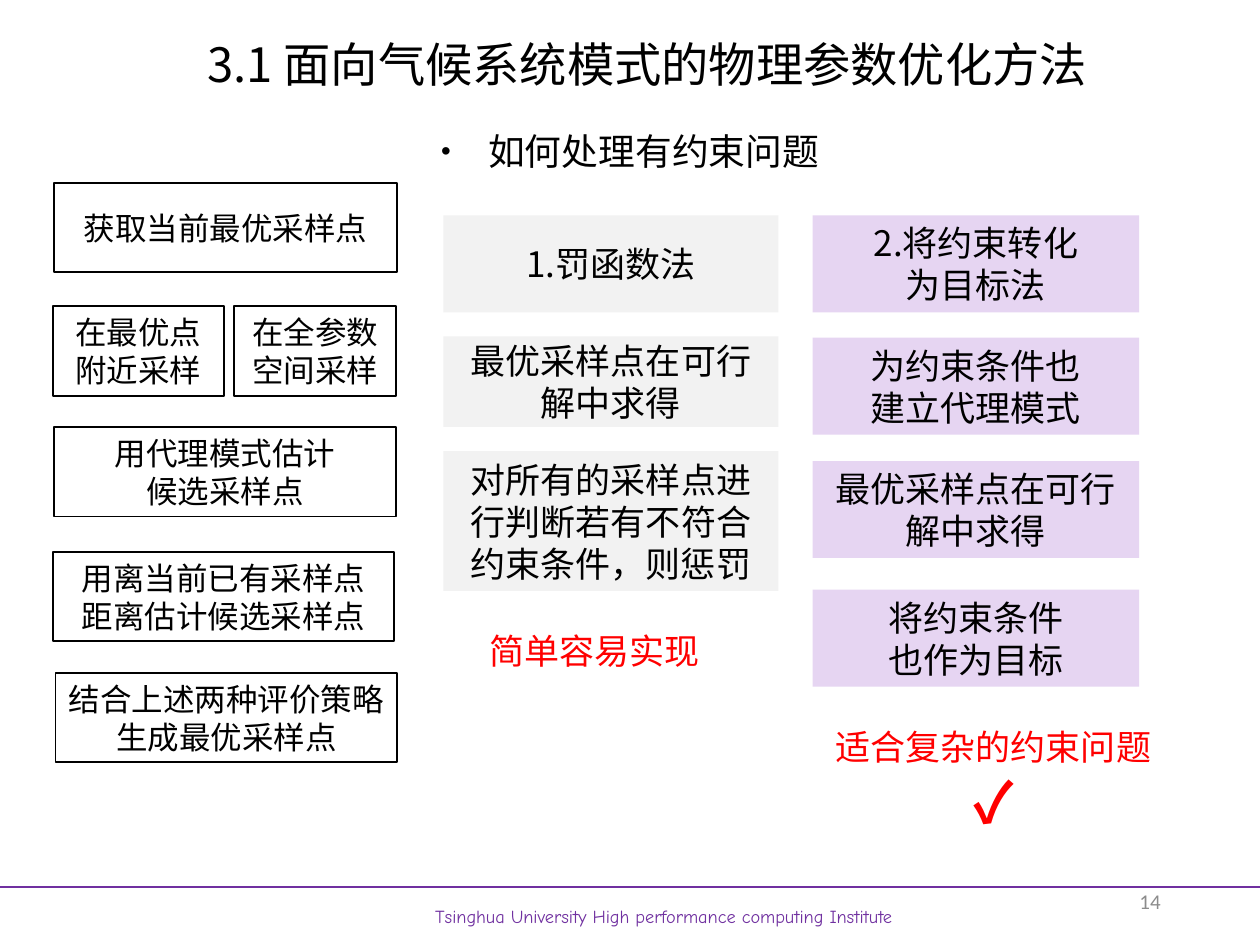
from lxml.etree import SubElement
from pptx import Presentation
from pptx.dml.color import RGBColor
from pptx.enum.shapes import MSO_CONNECTOR, MSO_SHAPE
from pptx.enum.text import MSO_ANCHOR, MSO_AUTO_SIZE, PP_ALIGN
from pptx.oxml.ns import qn
from pptx.util import Pt

CJK = "Noto Sans CJK JP"
BLACK, RED, PURPLE = "000000", "FF0000", "7030A0"
GREY_FILL, LILAC_FILL = "F2F2F2", "E6D5F2"

FLOW_STEPS = [
    (31, 104.4, 195.8, "获取当前最优采样点"),
    (30.2, 175, 97.9, "在最优点附近采样"),
    (133.9, 175, 92.2, "在全参数空间采样"),
    (31, 244.1, 195.1, "用代理模式估计\n候选采样点"),
    (30.2, 315.4, 195.1, "用离当前已有采样点\n距离估计候选采样点"),
    (31.7, 384.5, 195.4, "结合上述两种评价策略生成最优采样点"),
]
PENALTY_STEPS = [
    (123.1, 55.4, "1.罚函数法"),
    (192.2, 51.8, "最优采样点在可行解中求得"),
    (257.8, 79.9, "对所有的采样点进行判断若有不符合约束条件，则惩罚"),
]
OBJECTIVE_STEPS = [
    (123.1, 55.4, "2.将约束转化\n为目标法"),
    (193, 55.4, "为约束条件也\n建立代理模式"),
    (263.5, 55.4, "最优采样点在可行解中求得"),
    (337, 55.4, "将约束条件\n也作为目标"),
]


def colour(hex_value):
    return RGBColor.from_string(hex_value)


def apply(target, formats):
    for name, value in formats.items():
        setattr(target, name, value)


def place(shape, left, top, width, height):
    apply(shape, {"left": Pt(left), "top": Pt(top), "width": Pt(width), "height": Pt(height)})


def style_run(run, size, hex_value, face=CJK, bold=False):
    apply(run.font, {"size": Pt(size), "name": face, "bold": bold})
    run.font.color.rgb = colour(hex_value)
    SubElement(run.font._element, qn("a:ea"), typeface=CJK)


def write(frame, text, size, hex_value, face=CJK, align=PP_ALIGN.CENTER, **frame_formats):
    frame.text = text
    apply(frame, {"word_wrap": True, **frame_formats})
    for paragraph in frame.paragraphs:
        apply(paragraph, {"alignment": align, "space_before": Pt(0)})
        for run in paragraph.runs:
            style_run(run, size, hex_value, face)


def add_step(slide, bounds, text, size, fill=None):
    step = slide.shapes.add_shape(MSO_SHAPE.RECTANGLE, *map(Pt, bounds))
    step.shadow.inherit = False
    if fill:
        step.fill.solid()
        step.fill.fore_color.rgb = colour(fill)
        step.line.fill.background()
    else:
        step.fill.background()
        step.line.color.rgb = colour(BLACK)
        step.line.width = Pt(1)
    write(step.text_frame, text, size, BLACK, vertical_anchor=MSO_ANCHOR.MIDDLE)


def add_label(slide, bounds, text, size, hex_value, **formats):
    label = slide.shapes.add_textbox(*map(Pt, bounds))
    write(label.text_frame, text, size, hex_value, **formats)
    return label


def fill_title(title):
    place(title, 106.6, 17.3, 526.3, 47.5)
    write(title.text_frame, "3.1 面向气候系统模式的物理参数优化方法", 27, BLACK,
          vertical_anchor=MSO_ANCHOR.TOP, auto_size=MSO_AUTO_SIZE.NONE,
          margin_left=Pt(5), margin_right=Pt(5), margin_top=Pt(3), margin_bottom=Pt(3))


def fill_question(body):
    place(body, 244.8, 64.8, 537.8, 71.3)
    write(body.text_frame, "如何处理有约束问题", 21, BLACK, face="Cambria",
          align=PP_ALIGN.LEFT, auto_size=MSO_AUTO_SIZE.NONE)
    paragraph = body.text_frame.paragraphs[0]
    paragraph.line_spacing = 1.2
    properties = paragraph._p.get_or_add_pPr()
    properties.set("marL", str(Pt(27)))
    properties.set("indent", str(Pt(-27)))
    SubElement(properties, qn("a:buSzPct"), val="75000")
    SubElement(properties, qn("a:buFont"), typeface="Arial")
    SubElement(properties, qn("a:buChar"), char="•")


def add_footer(slide):
    rule = slide.shapes.add_connector(MSO_CONNECTOR.STRAIGHT, Pt(0), Pt(506.9), Pt(720), Pt(506.9))
    rule.line.color.rgb = colour(PURPLE)
    rule.line.width = Pt(1.25)
    SubElement(rule._element.spPr, qn("a:effectLst"))
    add_label(slide, (115.9, 513.4, 527, 20.9),
              "Tsinghua University High performance computing Institute", 10.5, PURPLE,
              face="Comic Neue", auto_size=MSO_AUTO_SIZE.SHAPE_TO_FIT_TEXT)
    add_label(slide, (508.3, 500.4, 162, 28.8), "14", 12, "8C8C8C", face="Calibri",
              align=PP_ALIGN.RIGHT, vertical_anchor=MSO_ANCHOR.MIDDLE)


def add_verdicts(slide):
    fit = {"auto_size": MSO_AUTO_SIZE.SHAPE_TO_FIT_TEXT}
    add_label(slide, (258.5, 356.4, 162.7, 53.3), "简单容易实现", 20, RED, **fit)
    chosen = add_label(slide, (464.4, 411.1, 206.6, 70.6), "适合复杂的约束问题", 20, RED, **fit)
    tick = chosen.text_frame.paragraphs[0].add_run()
    tick.text = "✓"
    style_run(tick, 32, RED, bold=True)


def main():
    deck = Presentation()
    apply(deck, {"slide_width": Pt(720), "slide_height": Pt(540)})
    slide = deck.slides.add_slide(deck.slide_layouts[1])
    fill_title(slide.shapes.title)
    fill_question(slide.placeholders[1])
    for left, top, width, text in FLOW_STEPS:
        add_step(slide, (left, top, width, 51.1), text, 18)
    for left, width, fill, steps in [
        (253.4, 191.5, GREY_FILL, PENALTY_STEPS),
        (464.4, 186.5, LILAC_FILL, OBJECTIVE_STEPS),
    ]:
        for top, height, text in steps:
            add_step(slide, (left, top, width, height), text, 20, fill)
    add_verdicts(slide)
    add_footer(slide)
    deck.save("out.pptx")


if __name__ == "__main__":
    main()
